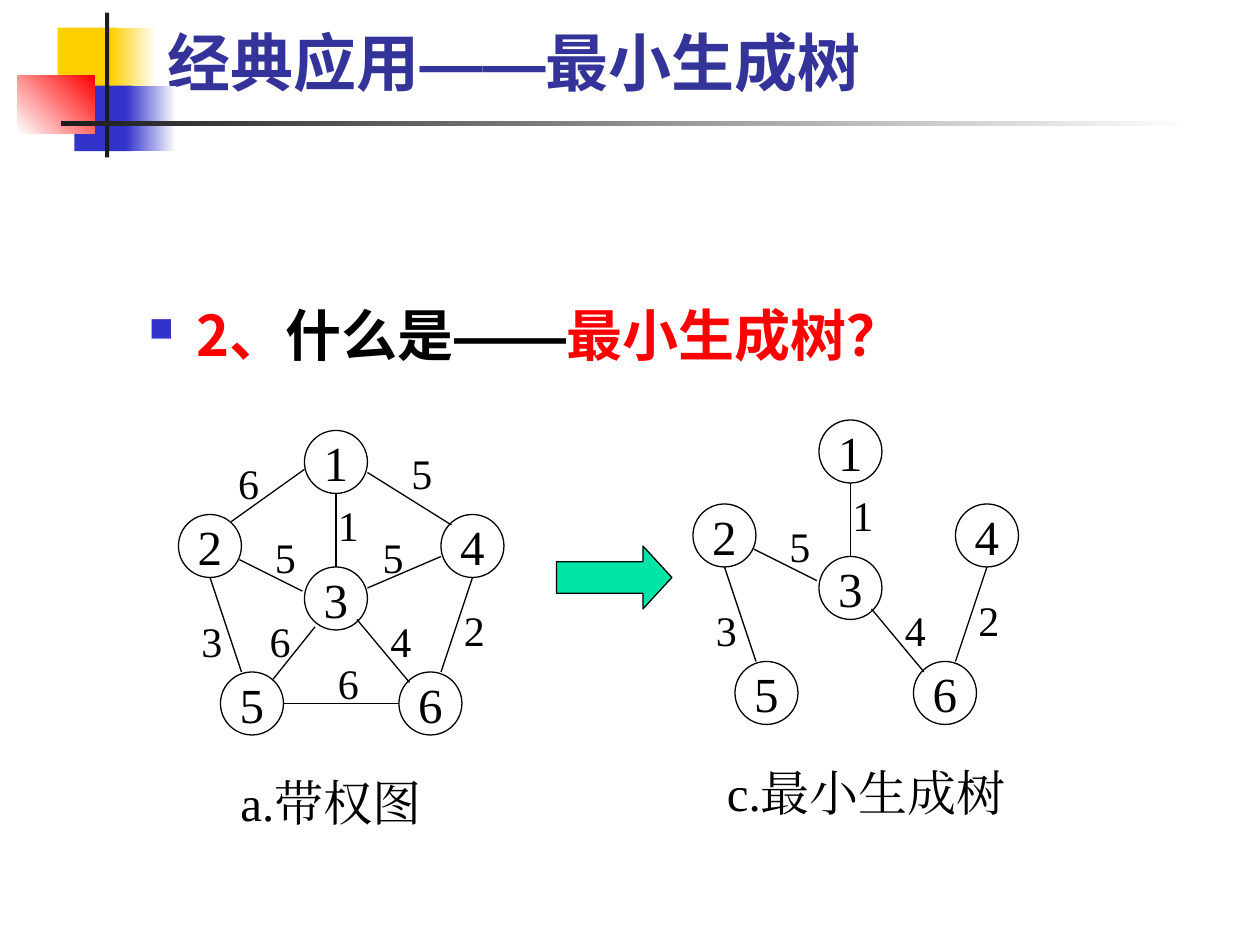
from lxml import etree
from pptx import Presentation
from pptx import util as u
from pptx.dml.color import RGBColor
from pptx.enum import shapes, text
from pptx.oxml.ns import qn

COLORS = {
    "yellow": "FFCF01", "blue": "3333CC", "red": "FF0000", "white": "FFFFFF",
    "dark": "1C1C1C", "title": "333399", "black": "000000", "green": "00E4A8",
}
SERIF, SANS, CJK, DASH = "Times New Roman", "Roboto", "Noto Sans CJK SC", "Arial"
COLUMNS = 120
NODE_SIZE = 6

# Node corners, in cells from the graph's origin
NODES = {1: (12, 0), 2: (0, 8), 3: (12, 13), 4: (25, 8), 5: (4, 23), 6: (21, 23)}

# Node pair: (weight, start, end, corner of the weight's label)
EDGES = {
    (1, 2): (6, (5, 8.7), (12, 3.7), (4.5, 2)),
    (1, 3): (1, (15, 13), (15, 6), (14, 6)),
    (1, 4): (5, (18, 4), (26, 9), (21, 1)),
    (2, 3): (5, (5.8, 12.3), (11.8, 15.3), (8, 9)),
    (2, 5): (3, (6, 23), (3, 14), (1, 17)),
    (3, 4): (5, (18, 15), (25, 12), (18.25, 9)),
    (3, 5): (6, (9, 23.7), (13, 18.7), (7.5, 17)),
    (3, 6): (4, (17, 18), (22, 24), (19, 17)),
    (4, 6): (2, (25, 23), (28, 14), (26, 16)),
    (5, 6): (6, (10, 26), (21, 26), (14, 21)),
}
TREE = [(1, 3), (2, 3), (2, 5), (3, 6), (4, 6)]


def rgb(name):
    return RGBColor.from_string(COLORS[name])


class Board:
    """Draws on one slide, with lengths in cells of a 120 by 90 grid."""

    def __init__(self, deck):
        self.cell = deck.slide_width / COLUMNS
        self.slide = deck.slides.add_slide(deck.slide_layouts[5])
        self.target = self.slide.shapes

    def cells(self, *lengths):
        return [u.Emu(round(length * self.cell)) for length in lengths]

    def add_text(self, paragraph, content, size, font, color="black", bold=False):
        run = paragraph.add_run()
        run.text = content
        run.font.size, run.font.name, run.font.bold = u.Pt(size), font, bold
        run.font.color.rgb = rgb(color)
        east_asian = etree.SubElement(run.font._element, qn("a:ea"))
        east_asian.set("typeface", font)

    def shape(self, kind, box, fill=None, fade=None, angle=0, outline=False):
        item = self.target.add_shape(kind, *self.cells(*box))
        item.shadow.inherit = False
        if fade:
            item.fill.gradient()
            item.fill.gradient_angle = angle
            for stop, name in zip(item.fill.gradient_stops, (fill, fade)):
                stop.color.rgb = rgb(name)
        elif fill:
            item.fill.solid()
            item.fill.fore_color.rgb = rgb(fill)
        else:
            item.fill.background()
        if outline:
            item.line.color.rgb = rgb("black")
            item.line.width = u.Pt(0.75)
        else:
            item.line.fill.background()
        return item

    def title(self, box, pieces):
        heading = self.slide.shapes.title
        heading.left, heading.top, heading.width, heading.height = self.cells(*box)
        frame = heading.text_frame
        frame.auto_size = text.MSO_AUTO_SIZE.NONE
        frame.word_wrap = True
        frame.vertical_anchor = text.MSO_ANCHOR.BOTTOM
        paragraph = frame.paragraphs[0]
        paragraph.alignment = text.PP_ALIGN.LEFT
        for content, font in pieces:
            self.add_text(paragraph, content, 36, font, "title", True)

    def text_box(self, box):
        frame = self.target.add_textbox(*self.cells(*box)).text_frame
        frame.word_wrap = True
        return frame

    def bullet(self, box, pieces):
        paragraph = self.text_box(box).paragraphs[0]
        props = paragraph._p.get_or_add_pPr()
        indent = u.Inches(0.38)
        props.set("marL", str(indent))
        props.set("indent", str(-indent))
        bullet_color = etree.SubElement(props, qn("a:buClr"))
        etree.SubElement(bullet_color, qn("a:srgbClr")).set("val", COLORS["blue"])
        etree.SubElement(props, qn("a:buSzPct")).set("val", "60000")
        etree.SubElement(props, qn("a:buChar")).set("char", "■")
        for content, font, color in pieces:
            self.add_text(paragraph, content, 32, font, color, True)

    def label(self, box, content, size):
        frame = self.text_box(box)
        frame.auto_size = text.MSO_AUTO_SIZE.SHAPE_TO_FIT_TEXT
        frame.paragraphs[0].alignment = text.PP_ALIGN.CENTER
        self.add_text(frame.paragraphs[0], content, size, SERIF)

    def node(self, corner, number):
        circle = self.shape(shapes.MSO_SHAPE.OVAL,
                            (*corner, NODE_SIZE, NODE_SIZE), outline=True)
        frame = circle.text_frame
        frame.word_wrap = False
        frame.vertical_anchor = text.MSO_ANCHOR.MIDDLE
        frame.paragraphs[0].alignment = text.PP_ALIGN.CENTER
        self.add_text(frame.paragraphs[0], str(number), 28, SERIF)

    def edge(self, start, end):
        line = self.target.add_connector(shapes.MSO_CONNECTOR.STRAIGHT,
                                         *self.cells(*start, *end))
        line.line.color.rgb = rgb("black")
        line.line.width = u.Pt(0.75)
        etree.SubElement(line._element.spPr, qn("a:effectLst"))

    def graph(self, origin, pairs):
        """Draws all nodes and the given edges as one group."""
        def place(point):
            return origin[0] + point[0], origin[1] + point[1]

        self.target = self.slide.shapes.add_group_shape().shapes
        for pair in pairs:
            weight, start, end, corner = EDGES[pair]
            self.edge(place(start), place(end))
            self.label((*place(corner), 4, 6), str(weight), 24)
        for number, corner in NODES.items():
            self.node(place(corner), number)
        self.target = self.slide.shapes


def main():
    deck = Presentation()
    deck.slide_width, deck.slide_height = u.Inches(10), u.Inches(7.5)
    board = Board(deck)

    decoration = [
        ((5.5, 2.64, 5.76, 6.24), "yellow", None, 0),
        ((10.56, 2.64, 4.32, 6.24), "yellow", "white", 0),
        ((7.08, 8.16, 5.52, 6.24), "blue", None, 0),
        ((12, 8.16, 4.8, 6.24), "blue", "white", 0),
        ((1.68, 7.2, 7.32, 5.52), "white", "red", 45),
        ((10, 1.2, 0.4, 13.8), "dark", None, 0),
        ((5.8, 11.5, 108, 0.5), "dark", "white", 0),
    ]
    for box, fill, fade, angle in decoration:
        board.shape(shapes.MSO_SHAPE.RECTANGLE, box, fill, fade, angle)

    board.title((14.76, 3, 102.6, 7),
                [("经典应用", SANS), ("——", DASH), ("最小生成树", SANS)])
    board.bullet((13, 28, 78, 10), [
        ("2、", CJK, "red"), ("什么是", CJK, "black"),
        ("——", DASH, "black"), ("最小生成树？", CJK, "red"),
    ])

    board.graph((17, 41), EDGES)
    arrow = board.shape(shapes.MSO_SHAPE.RIGHT_ARROW, (53, 52, 11, 6),
                        "green", outline=True)
    arrow.adjustments[1] = 0.46
    board.graph((66, 40), TREE)

    board.label((20, 73, 23, 6.84), "a.带权图", 28)
    board.label((67, 72, 31, 6.84), "c.最小生成树", 28)
    deck.save("out.pptx")


if __name__ == "__main__":
    main()
